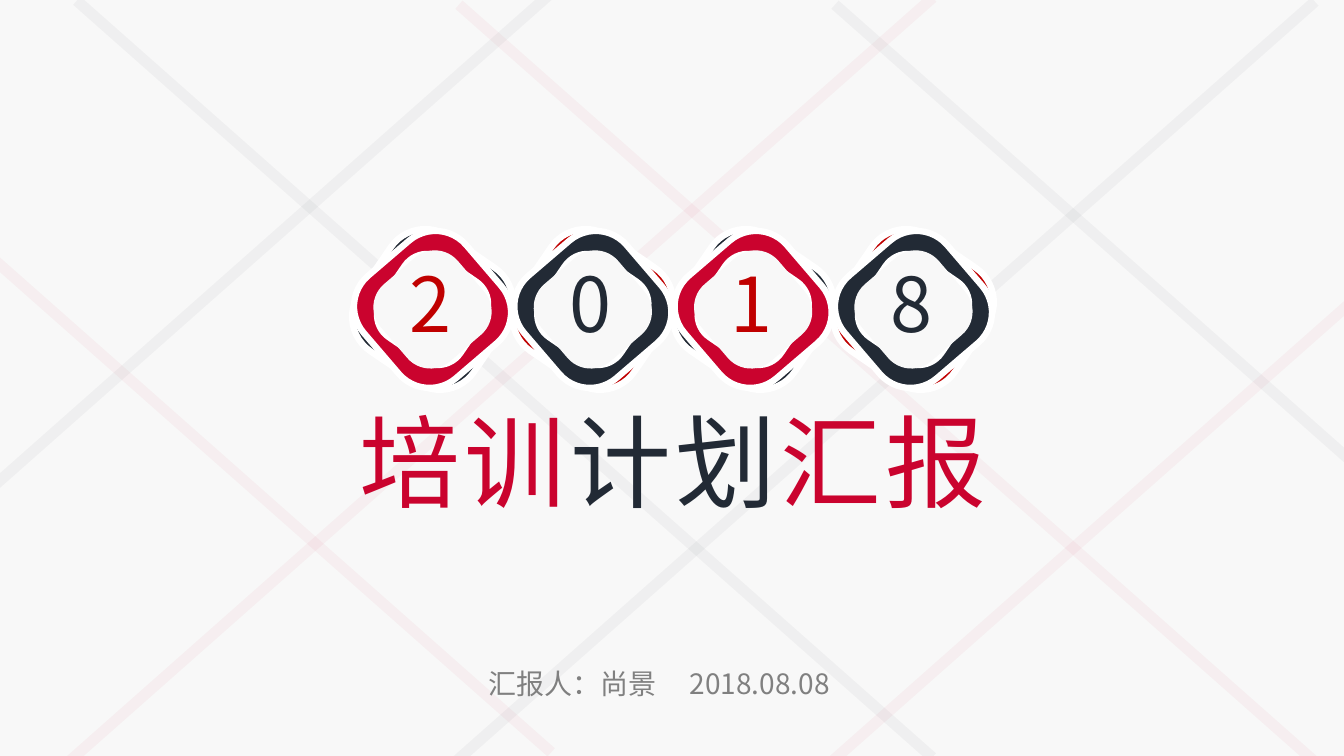
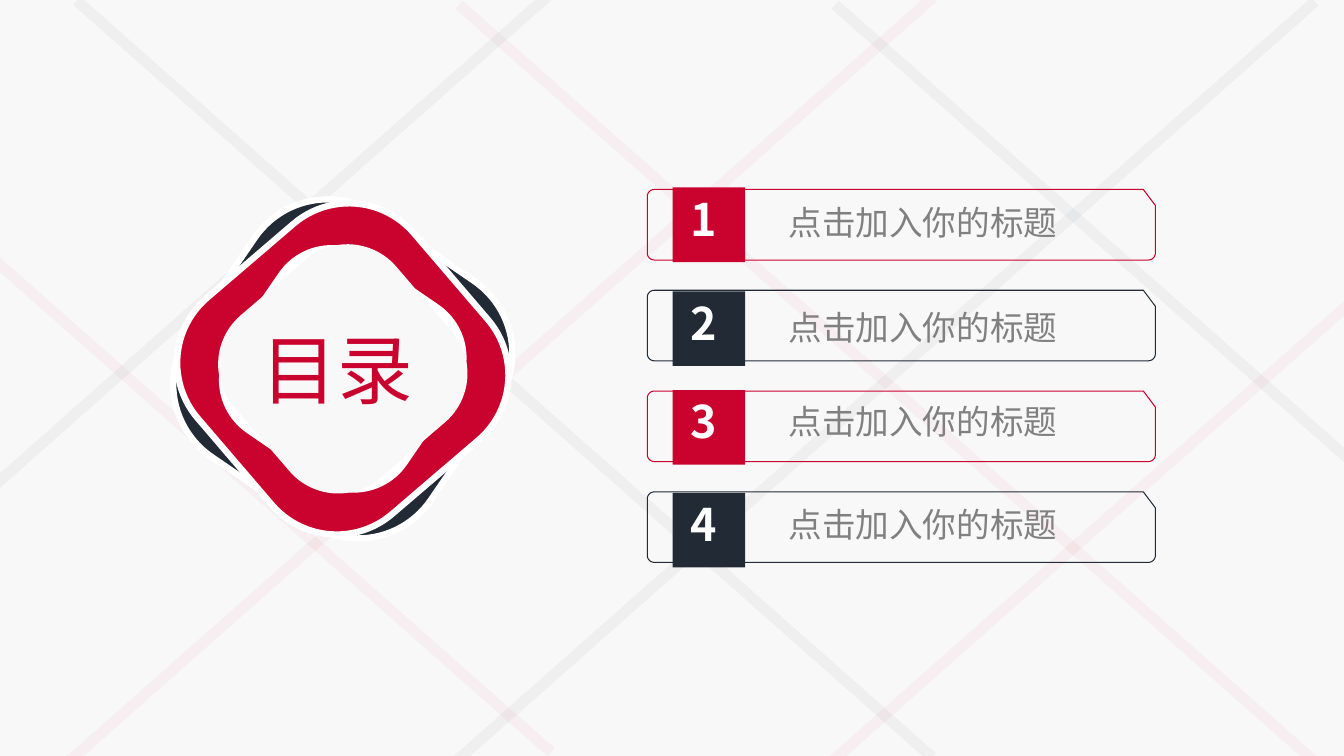
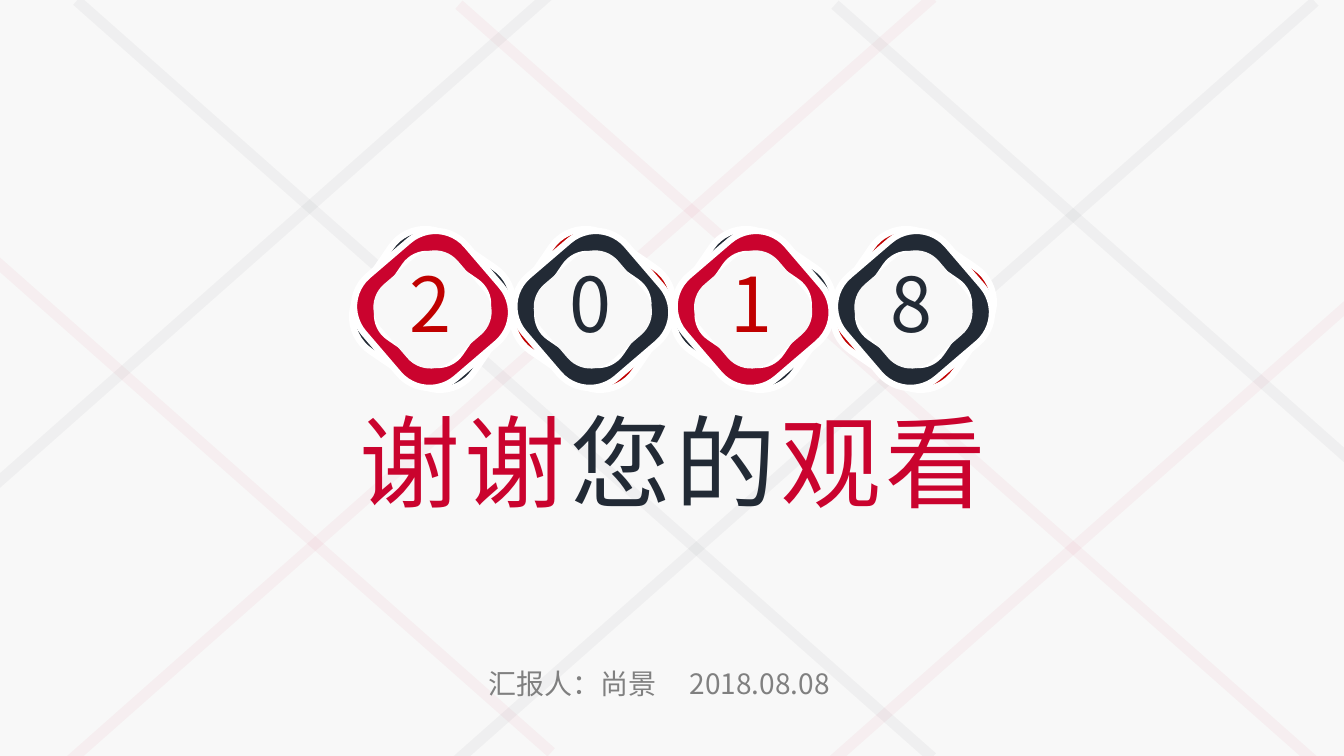
from math import cos, pi, sin

from lxml.etree import SubElement
from pptx import Presentation
from pptx.dml.color import RGBColor
from pptx.enum.shapes import MSO_SHAPE
from pptx.enum.text import MSO_ANCHOR, MSO_AUTO_SIZE, PP_ALIGN
from pptx.oxml.ns import qn
from pptx.util import Inches, Pt

RED = RGBColor(0xCA, 0x03, 0x2E)
DARK_RED = RGBColor(0xC0, 0x00, 0x00)
NAVY = RGBColor(0x22, 0x2A, 0x35)
GRAY = RGBColor(0x80, 0x80, 0x80)
WHITE = RGBColor(0xFF, 0xFF, 0xFF)
PAPER = RGBColor(0xF8, 0xF8, 0xF8)
FONT = "Noto Sans CJK SC"

STRIPE_ANGLE = 48.5
STRIPES = [
    (5.0, 3.76, NAVY, RED),
    (8.79, 3.8, RED, NAVY),
    (12.52, 3.8, NAVY, RED),
    (1.22, 3.71, RED, NAVY),
]
AGENDA = [
    ("点击加入你的标题", RED, 1.86, 1.96),
    ("点击加入你的标题", NAVY, 2.89, 3.0),
    ("点击加入你的标题", RED, 3.87, 3.94),
    ("点击加入你的标题", NAVY, 4.89, 4.96),
]


def write(shape, runs, size=24, bold=False, align=PP_ALIGN.LEFT,
          anchor=MSO_ANCHOR.TOP, inset=(0.1, 0.05, 0.1, 0.05), wrap=True,
          leading=None, spacing=None, tab=None):
    """Fill a shape with one paragraph of (text, colour) runs."""
    tf = shape.text_frame
    tf.auto_size = MSO_AUTO_SIZE.NONE
    tf.word_wrap = wrap
    tf.vertical_anchor = anchor
    tf.margin_left, tf.margin_top, tf.margin_right, tf.margin_bottom = map(Inches, inset)
    p = tf.paragraphs[0]
    p.alignment = align
    p.space_before = Pt(0)
    if leading:
        p.line_spacing = Pt(leading)
    if tab:
        tabs = SubElement(p._p.get_or_add_pPr(), qn("a:tabLst"))
        SubElement(tabs, qn("a:tab"), pos=str(Inches(tab)), algn="l")
    for text, color in runs:
        r = p.add_run()
        r.text = text
        r.font.size = Pt(size)
        r.font.bold = bold
        r.font.color.rgb = color
        r.font.name = FONT
        rPr = r._r.get_or_add_rPr()
        SubElement(rPr, qn("a:ea"), typeface=FONT)
        if spacing:
            rPr.set("spc", str(spacing * 100))


def place(shape, left, top, width, height):
    """Move a placeholder to the given place and bring it to the front."""
    shape.left, shape.top = Inches(left), Inches(top)
    shape.width, shape.height = Inches(width), Inches(height)
    shape._element.getparent().append(shape._element)
    return shape


def add_text(s, left, top, width, height, runs, **fmt):
    """Add a text box."""
    box = s.shapes.add_textbox(Inches(left), Inches(top), Inches(width), Inches(height))
    write(box, runs, **fmt)


def add_block(s, kind, left, top, width, height, fill, angle=0, line=None):
    """Add a flat preset shape, with a line in points when wanted."""
    sp = s.shapes.add_shape(kind, Inches(left), Inches(top), Inches(width), Inches(height))
    sp.shadow.inherit = False
    sp.fill.solid()
    sp.fill.fore_color.rgb = fill
    sp.rotation = angle
    if line:
        sp.line.color.rgb = WHITE
        sp.line.width = Pt(line)
    else:
        sp.line.fill.background()
    return sp


def add_stripes(s):
    """Draw the faint crossing stripes shared by all slides."""
    for cx, cy, falling, rising in STRIPES:
        for x, length, color, angle in ((cx, 11.33, falling, -STRIPE_ANGLE),
                                        (cx - 0.03, 11.42, rising, STRIPE_ANGLE)):
            bar = add_block(s, MSO_SHAPE.RECTANGLE, x - 0.05, cy - length / 2,
                            0.11, length, color, angle)
            rgb = bar._element.spPr.find(".//" + qn("a:srgbClr"))
            SubElement(rgb, qn("a:alpha"), val="4000")


def add_badge(s, cx, cy, size, front, back):
    """Draw a badge of four twisted rounded squares around a centre."""
    for ratio, color, angle, line in ((1, back, 34.4, 4.5), (0.97, front, 49.4, 4.5),
                                      (0.73, WHITE, 34.4, None), (0.73, PAPER, 49.4, None)):
        side = size * ratio
        sp = add_block(s, MSO_SHAPE.ROUNDED_RECTANGLE, cx - side / 2, cy - side / 2,
                       side, side, color, angle, line)
        sp.adjustments[0] = 0.3


def add_frame(s, left, top, width, height, color):
    """Outline a box with three round corners and a cut top right corner."""
    radius, right, bottom = 0.07, left + width, top + height
    points = [(right - 0.12, top), (right, top + 0.16)]
    for cx, cy, start in ((right - radius, bottom - radius, 0),
                          (left + radius, bottom - radius, pi / 2),
                          (left + radius, top + radius, pi)):
        angles = [start + pi / 2 * i / 6 for i in range(7)]
        points += [(cx + radius * cos(a), cy + radius * sin(a)) for a in angles]
    points = [(Inches(x), Inches(y)) for x, y in points]
    builder = s.shapes.build_freeform(*points[0])
    builder.add_line_segments(points[1:], close=True)
    frame = builder.convert_to_shape()
    frame.shadow.inherit = False
    frame.fill.background()
    frame.line.color.rgb = color
    frame.line.width = Pt(0)


def add_slide(prs, layout):
    """Add a slide with the shared stripes."""
    s = prs.slides.add_slide(prs.slide_layouts[layout])
    add_stripes(s)
    return s


def add_cover(prs, first, middle, last):
    """Add a slide with the year badges, a three-part title and the presenter."""
    s = add_slide(prs, 0)
    for i, digit in enumerate("2018"):
        cx = 4.29 + 1.59 * i
        front, back, color = (NAVY, DARK_RED, NAVY) if i % 2 else (RED, NAVY, DARK_RED)
        add_badge(s, cx, 3.07, 1.38, front, back)
        add_text(s, cx - 0.99, 2.86, 1.94, 0.52, [(digit, color)], size=54, leading=48,
                 align=PP_ALIGN.CENTER, anchor=MSO_ANCHOR.MIDDLE, inset=(0, 0, 0, 0))
    title = place(s.shapes.title, 3.42, 3.92, 6.51, 1.31)
    write(title, [(first, RED), (middle, NAVY), (last, RED)], size=72, spacing=3,
          align=PP_ALIGN.CENTER, wrap=False)
    subtitle = place(s.placeholders[1], 4.74, 6.56, 4.7, 0.44)
    write(subtitle, [("汇报人：尚景\t2018.08.08", GRAY)], size=20, tab=2.17)


def add_agenda(prs):
    """Add the contents slide."""
    s = add_slide(prs, 5)
    for i, (label, color, block_top, label_top) in enumerate(AGENDA):
        add_frame(s, 6.42, 1.88 + i, 5.04, 0.7, color)
        block = add_block(s, MSO_SHAPE.RECTANGLE, 6.67, block_top, 0.72, 0.74, color)
        write(block, [(str(i + 1), WHITE)], size=32, bold=True, wrap=False,
              inset=(0.18, 0.04, 0, 0))
        add_text(s, 7.75, label_top, 2.84, 0.48, [(label, GRAY)], wrap=False,
                 inset=(0.07, 0.04, 0.07, 0.04))
    add_badge(s, 3.4, 3.66, 2.91, RED, NAVY)
    title = place(s.shapes.title, 1.3, 3.22, 4.09, 1.11)
    write(title, [("目录", RED)], size=54, leading=48, align=PP_ALIGN.CENTER,
          anchor=MSO_ANCHOR.MIDDLE, inset=(0, 0, 0, 0))


def main():
    """Build and save the presentation."""
    prs = Presentation()
    prs.slide_width, prs.slide_height = Inches(13.33), Inches(7.5)
    background = prs.slide_master.background.fill
    background.solid()
    background.fore_color.rgb = PAPER
    add_cover(prs, "培训", "计划", "汇报")
    add_agenda(prs)
    add_cover(prs, "谢谢", "您的", "观看")
    prs.save("out.pptx")


if __name__ == "__main__":
    main()
